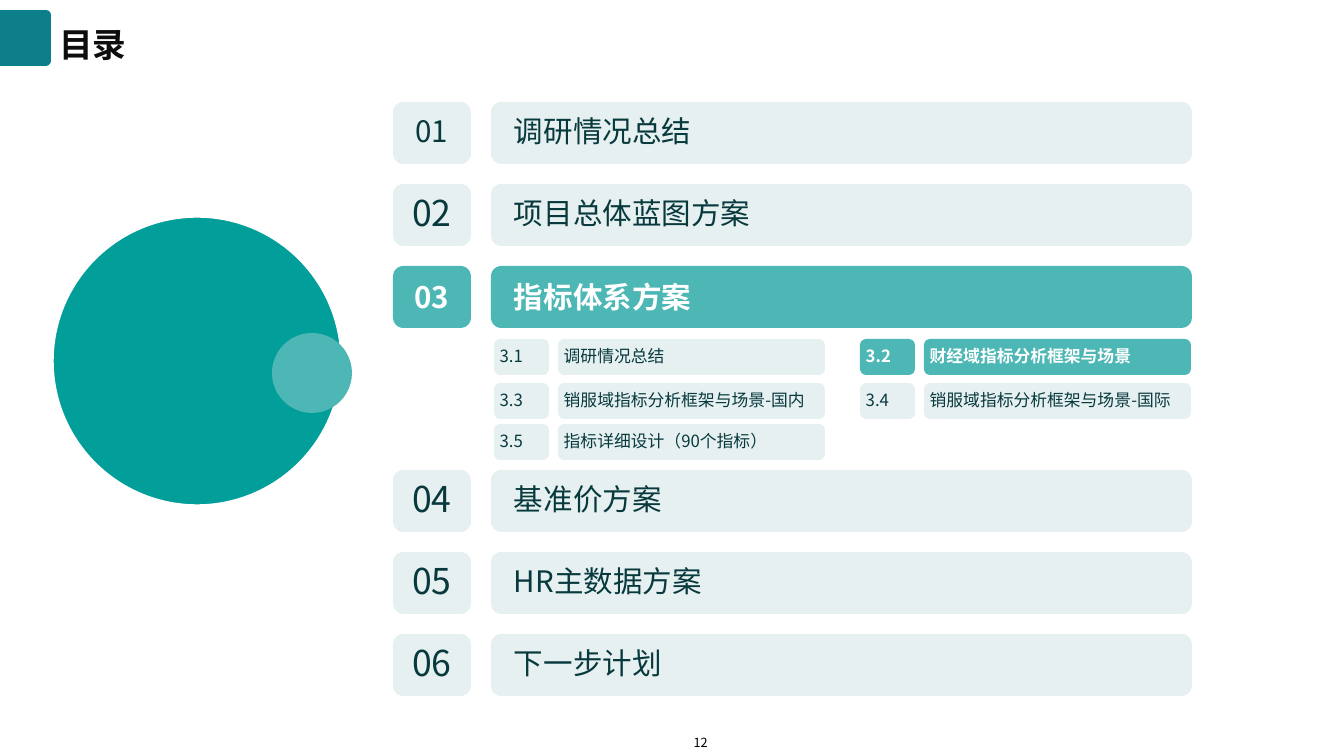
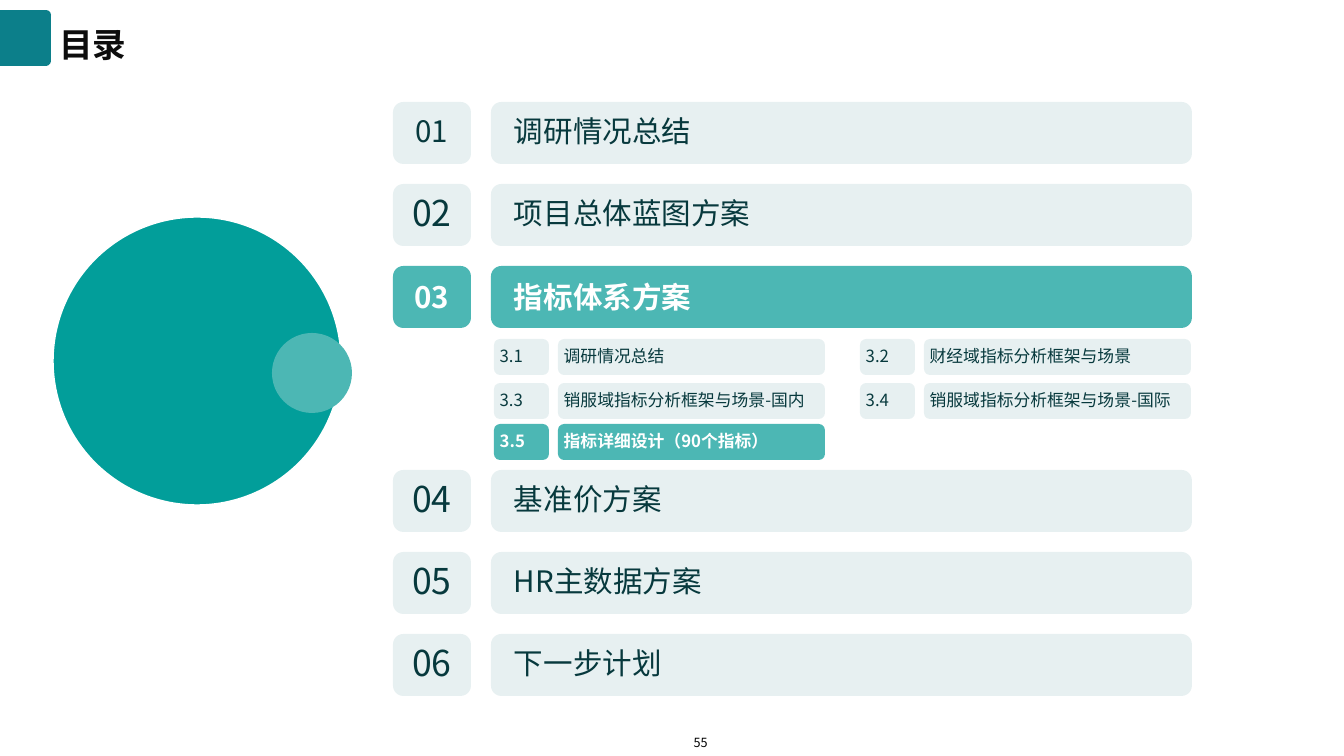
from lxml import etree
from pptx import Presentation
from pptx import util as u
from pptx.dml.color import RGBColor
from pptx.enum import shapes, text
from pptx.oxml import ns

PX = 914400 / 100.8
FONT = "Noto Sans CJK SC"

WHITE = RGBColor(0xFF, 0xFF, 0xFF)
BLACK = RGBColor(0x00, 0x00, 0x00)
TITLE_INK = RGBColor(0x0D, 0x0D, 0x0D)
INK = RGBColor(0x07, 0x39, 0x3D)
MARKER = RGBColor(0x0C, 0x7F, 0x8A)
DISC = RGBColor(0x02, 0x9E, 0x9A)
ACTIVE = RGBColor(0x4C, 0xB7, 0xB4)
TINT = RGBColor(0x1A, 0x75, 0x7E)
TINT_ALPHA = 10

TITLE = "目录"
# number, label, number size in points
CHAPTERS = [
    ("01", "调研情况总结", 21.1),
    ("02", "项目总体蓝图方案", 25.4),
    ("03", "指标体系方案", 21.1),
    ("04", "基准价方案", 25.4),
    ("05", "HR主数据方案", 25.4),
    ("06", "下一步计划", 25.4),
]
OPEN_CHAPTER = "03"
SECTIONS = [
    ("3.1", "调研情况总结"),
    ("3.2", "财经域指标分析框架与场景"),
    ("3.3", "销服域指标分析框架与场景-国内"),
    ("3.4", "销服域指标分析框架与场景-国际"),
    ("3.5", "指标详细设计（90个指标）"),
]
# page number, highlighted section
PAGES = [("12", "3.2"), ("55", "3.5")]

CHAPTER_TOP, CHAPTER_PITCH, CHAPTER_HEIGHT = 102, 82, 62
SECTIONS_SPACE = 122
NUMBER_LEFT, NUMBER_WIDTH = 393, 78
LABEL_LEFT, LABEL_WIDTH = 491, 701
SECTION_TOPS = (339, 383, 424)
SECTION_LEFT, SECTION_PITCH, SECTION_HEIGHT = 494, 366, 36
SECTION_NUMBER_WIDTH, SECTION_LABEL_OFFSET, SECTION_LABEL_WIDTH = 55, 64, 267
CHAPTER_INSETS = (20, 4, 7, 4)
SECTION_INSETS = (4, 4, 7, 4)
NO_INSETS = (0, 0, 0, 0)


def px(*lengths):
    return [u.Emu(round(length * PX)) for length in lengths]


def add_plain(page, kind, area, fill):
    """Add a preset shape without shadow or outline."""
    shape = page.shapes.add_shape(kind, *px(*area))
    shape.shadow.inherit = False
    shape.fill.solid()
    shape.fill.fore_color.rgb = fill
    shape.line.fill.background()
    return shape


def write(box, words, size, color, bold=False, insets=NO_INSETS, spacing=1.0,
          align=text.PP_ALIGN.LEFT, anchor=text.MSO_ANCHOR.MIDDLE):
    frame = box.text_frame
    frame.word_wrap = True
    frame.vertical_anchor = anchor
    (frame.margin_left, frame.margin_top,
     frame.margin_right, frame.margin_bottom) = px(*insets)
    frame.text = words
    para = frame.paragraphs[0]
    para.alignment = align
    para.line_spacing = spacing
    span = para.runs[0]
    span.font.size = u.Pt(size)
    span.font.bold = bold
    span.font.color.rgb = color
    span.font.name = FONT
    east_asian = etree.SubElement(span.font._element, ns.qn("a:ea"))
    east_asian.set("typeface", FONT)


def add_tile(page, area, words, size, active, **style):
    """Add a rounded tile: solid when active, faintly tinted otherwise."""
    tile = add_plain(page, shapes.MSO_SHAPE.ROUNDED_RECTANGLE, area,
                     ACTIVE if active else TINT)
    if not active:
        color = tile.fill._xPr.find(".//" + ns.qn("a:srgbClr"))
        etree.SubElement(color, ns.qn("a:alpha")).set("val", str(TINT_ALPHA * 1000))
    write(tile, words, size, WHITE if active else INK, active, **style)


def add_frame(page, page_number):
    """Add the title with its marker, the page number and the discs."""
    width, height = 56, 51
    marker = add_plain(page, shapes.MSO_SHAPE.ROUND_2_SAME_RECTANGLE,
                       ((height - width) / 2, 10 + (width - height) / 2, width, height),
                       MARKER)
    marker.rotation = 90
    marker.adjustments[0] = 0.1

    title = page.shapes.add_textbox(*px(59, 10, 1171, 56))
    write(title, TITLE, 24, TITLE_INK, bold=True, spacing=1.3)
    footer = page.shapes.add_textbox(*px(670, 730, 61, 25))
    write(footer, page_number, 9, BLACK, insets=(4, 5, 4, 5),
          align=text.PP_ALIGN.CENTER, anchor=text.MSO_ANCHOR.TOP)

    disc = add_plain(page, shapes.MSO_SHAPE.OVAL, (53, 217, 288, 288), DISC)
    disc.line.color.rgb = WHITE
    disc.line.width = u.Pt(1)
    add_plain(page, shapes.MSO_SHAPE.OVAL, (272, 333, 80, 80), ACTIVE)


def add_chapters(page):
    top = CHAPTER_TOP
    for number, label, number_size in CHAPTERS:
        active = number == OPEN_CHAPTER
        spacing = 1.0 if active else 0.9
        add_tile(page, (NUMBER_LEFT, top, NUMBER_WIDTH, CHAPTER_HEIGHT), number,
                 number_size, active, spacing=spacing, align=text.PP_ALIGN.CENTER)
        add_tile(page, (LABEL_LEFT, top, LABEL_WIDTH, CHAPTER_HEIGHT), label,
                 21.1, active, spacing=spacing, insets=CHAPTER_INSETS)
        top += CHAPTER_PITCH + (SECTIONS_SPACE if active else 0)


def add_sections(page, current):
    for index, (number, label) in enumerate(SECTIONS):
        row, column = divmod(index, 2)
        left = SECTION_LEFT + column * SECTION_PITCH
        for offset, width, words in (
            (0, SECTION_NUMBER_WIDTH, number),
            (SECTION_LABEL_OFFSET, SECTION_LABEL_WIDTH, label),
        ):
            add_tile(page, (left + offset, SECTION_TOPS[row], width, SECTION_HEIGHT),
                     words, 12, number == current, spacing=0.9, insets=SECTION_INSETS)


def main():
    deck = Presentation()
    deck.slide_width, deck.slide_height = px(1344, 756)
    for page_number, current in PAGES:
        page = deck.slides.add_slide(deck.slide_layouts[6])
        add_frame(page, page_number)
        add_chapters(page)
        add_sections(page, current)
    deck.save("out.pptx")


if __name__ == "__main__":
    main()
